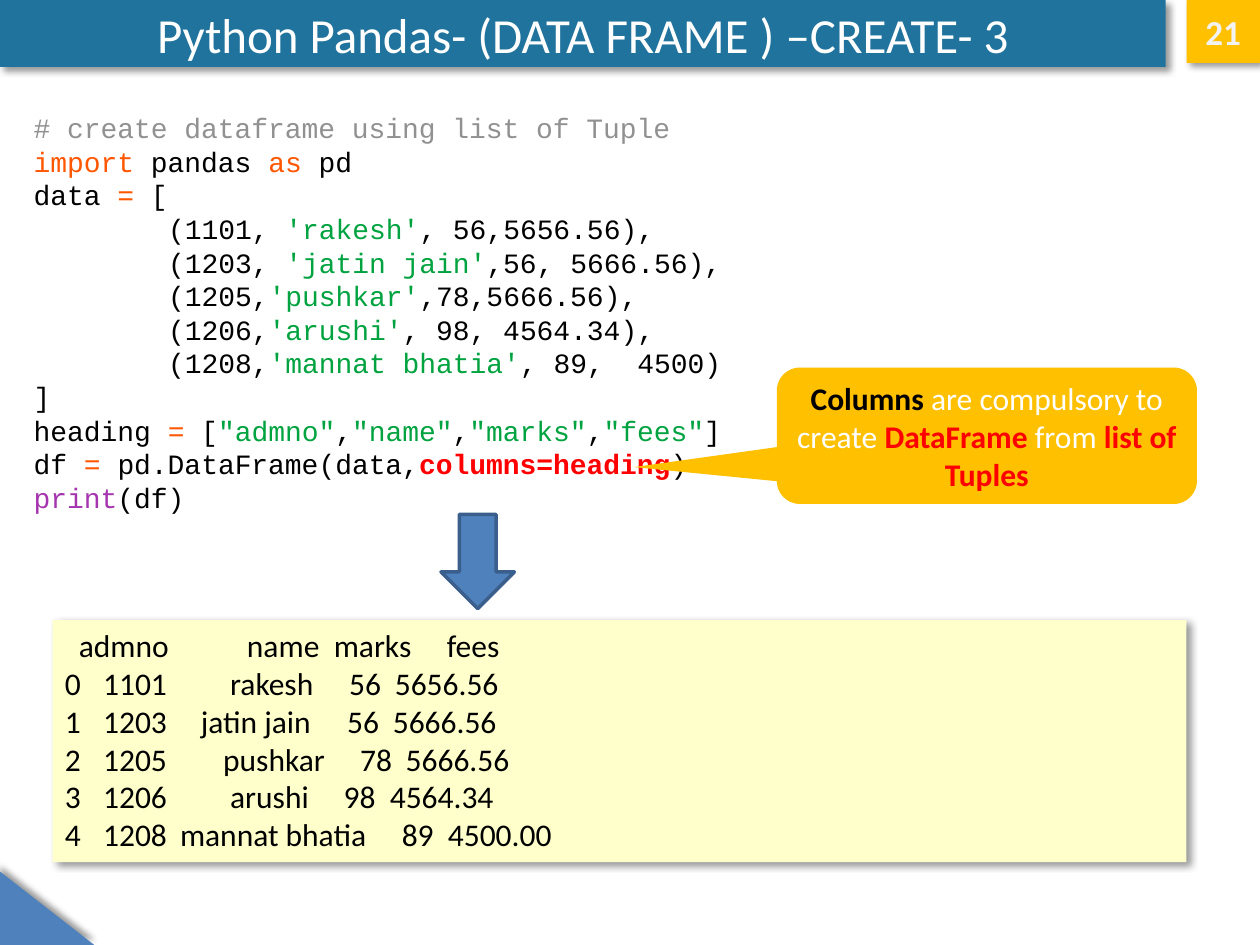
from lxml.etree import SubElement
from pptx import Presentation
from pptx.dml.color import RGBColor
from pptx.enum.shapes import MSO_SHAPE as Preset
from pptx.enum.text import MSO_ANCHOR as Anchor, MSO_AUTO_SIZE as AutoSize, PP_ALIGN as Align
from pptx.oxml.ns import qn
from pptx.util import Cm, Pt

BLACK = RGBColor(0x00, 0x00, 0x00)
WHITE = RGBColor(0xFF, 0xFF, 0xFF)
PALE = RGBColor(0xF2, 0xF2, 0xF2)
TEAL = RGBColor(0x20, 0x73, 0x9C)
AMBER = RGBColor(0xFF, 0xC0, 0x00)
BLUE = RGBColor(0x4F, 0x81, 0xBD)
DARK_BLUE = RGBColor(0x3A, 0x5F, 0x8C)
CREAM = RGBColor(0xFF, 0xFF, 0xCC)
RED = RGBColor(0xFF, 0x00, 0x00)
COMMENT = RGBColor(0x91, 0x91, 0x91)
KEYWORD = RGBColor(0xFF, 0x56, 0x00)
STRING = RGBColor(0x00, 0xA3, 0x3F)
BUILTIN = RGBColor(0xA5, 0x35, 0xAE)

BODY_FONT, CODE_FONT = "Calibri", "Courier New"
CODE_INDENT = Cm(2.71)

# Each record: text before the name, the name, text after it
RECORDS = [
    ("(1101, ", "'rakesh'", ", 56,5656.56),"),
    ("(1203, ", "'jatin jain'", ",56, 5666.56),"),
    ("(1205,", "'pushkar'", ",78,5666.56),"),
    ("(1206,", "'arushi'", ", 98, 4564.34),"),
    ("(1208,", "'mannat bhatia'", ", 89,  4500)"),
]
HEADINGS = ["admno", "name", "marks", "fees"]

# Each printed row: its cells, then the tab stops in cm of all but the first
PRINTED_ROWS = [
    (["", *HEADINGS], [0.28, 3.67, 5.42, 7.70]),
    (["0", "1101", "rakesh", "56", "5656.56"], [0.77, 3.33, 5.73, 6.65]),
    (["1", "1203", "jatin jain", "56", "5666.56"], [0.77, 2.74, 5.69, 6.61]),
    (["2", "1205", "pushkar", "78", "5666.56"], [0.77, 3.19, 5.95, 6.87]),
    (["3", "1206", "arushi", "98", "4564.34"], [0.77, 3.33, 5.62, 6.55]),
    (["4", "1208", "mannat bhatia", "89", "4500.00"], [0.77, 2.32, 6.79, 7.72]),
]


def add_shadow(shape, degrees=45):
    """Give the shape a soft outer shadow."""
    effects = shape._element.spPr.find(qn("a:effectLst"))
    shadow = SubElement(effects, qn("a:outerShdw"), blurRad=str(Pt(4)),
                        dist=str(Pt(3)), dir=str(degrees * 60000), rotWithShape="0")
    color = SubElement(shadow, qn("a:srgbClr"), val="000000")
    SubElement(color, qn("a:alpha"), val="40000")


def add_panel(slide, preset, box, fill, anchor=Anchor.MIDDLE):
    """Add a filled preset shape without outline; box is in centimetres."""
    panel = slide.shapes.add_shape(preset, *map(Cm, box))
    panel.shadow.inherit = False
    panel.fill.solid()
    panel.fill.fore_color.rgb = fill
    panel.line.fill.background()
    panel.text_frame.word_wrap = True
    panel.text_frame.vertical_anchor = anchor
    return panel


def add_runs(paragraph, runs, size, font=BODY_FONT, align=Align.LEFT):
    """Fill a paragraph with (text, colour, bold) runs."""
    paragraph.alignment = align
    for text, color, bold in runs:
        run = paragraph.add_run()
        run.text = text
        run.font.name = font
        run.font.size = Pt(size)
        run.font.bold = bold
        run.font.color.rgb = color


def next_paragraph(frame, index):
    """Return the first paragraph, or a new one after it."""
    return frame.add_paragraph() if index else frame.paragraphs[0]


def code_lines():
    """Return the program as (indented, runs) lines."""
    def plain(text):
        return text, BLACK, False

    def mark(text, color):
        return text, color, False

    heading = [plain("heading "), mark("=", KEYWORD), plain(" [")]
    for position, name in enumerate(HEADINGS):
        if position:
            heading.append(plain(","))
        heading.append(mark(f'"{name}"', STRING))
    heading.append(plain("]"))

    return [
        (False, [mark("# create dataframe using list of Tuple", COMMENT)]),
        (False, [mark("import", KEYWORD), plain(" pandas "),
                 mark("as", KEYWORD), plain(" pd")]),
        (False, [plain("data "), mark("=", KEYWORD), plain(" [")]),
        *((True, [plain(before), mark(name, STRING), plain(after)])
          for before, name, after in RECORDS),
        (False, [plain("]")]),
        (False, heading),
        (False, [plain("df "), mark("= ", KEYWORD), plain("pd.DataFrame(data,"),
                 ("columns=heading", RED, True), plain(")")]),
        (False, [mark("print", BUILTIN), plain("(df)")]),
    ]


def add_code(slide):
    """Add the coloured program text."""
    frame = slide.shapes.add_textbox(Cm(0.43), Cm(2.11), Cm(24.13), Cm(8.64)).text_frame
    frame.word_wrap = True
    frame.auto_size = AutoSize.SHAPE_TO_FIT_TEXT
    for index, (indented, runs) in enumerate(code_lines()):
        paragraph = next_paragraph(frame, index)
        add_runs(paragraph, runs, 16, CODE_FONT)
        if indented:
            properties = paragraph._p.get_or_add_pPr()
            properties.set("marL", str(CODE_INDENT))
            properties.set("indent", "0")


def add_printout(slide):
    """Add the printed data frame, its cells set on tab stops."""
    panel = add_panel(slide, Preset.RECTANGLE, (1.06, 12.5, 22.86, 4.88), CREAM, Anchor.TOP)
    add_shadow(panel)
    for index, (cells, stops) in enumerate(PRINTED_ROWS):
        paragraph = next_paragraph(panel.text_frame, index)
        add_runs(paragraph, [("\t".join(cells), BLACK, False)], 18)
        tabs = SubElement(paragraph._p.get_or_add_pPr(), qn("a:tabLst"))
        for stop in stops:
            SubElement(tabs, qn("a:tab"), pos=str(Cm(stop)), algn="l")


def add_banner(slide, box, fill, text, color, size, bold):
    """Add a shadowed rectangle with one centred line."""
    banner = add_panel(slide, Preset.RECTANGLE, box, fill)
    add_shadow(banner)
    add_runs(banner.text_frame.paragraphs[0], [(text, color, bold)], size, align=Align.CENTER)


def add_callout(slide):
    """Add the note that points at the columns argument."""
    callout = add_panel(slide, Preset.ROUNDED_RECTANGULAR_CALLOUT,
                        (15.66, 7.41, 8.47, 2.75), AMBER)
    for index, value in enumerate((-0.84, 0.23, 0.17)):
        callout.adjustments[index] = value
    add_runs(callout.text_frame.paragraphs[0], [
        ("Columns", BLACK, True),
        (" are compulsory to create ", WHITE, False),
        ("DataFrame", RED, True),
        (" from ", WHITE, False),
        ("list of Tuples", RED, True),
    ], 18, align=Align.CENTER)


def main():
    """Build and save the slide."""
    deck = Presentation()
    deck.slide_width, deck.slide_height = Cm(25.4), Cm(19.05)
    slide = deck.slides.add_slide(deck.slide_layouts[6])

    corner = add_panel(slide, Preset.RIGHT_TRIANGLE, (0, 17.57, 1.9, 1.48), BLUE)
    add_shadow(corner, 270)
    add_banner(slide, (0, 0, 23.5, 1.35), TEAL,
               "Python Pandas- (DATA FRAME ) –CREATE- 3", WHITE, 28, False)
    add_banner(slide, (23.92, 0, 1.48, 1.27), AMBER, "21", PALE, 20, True)
    add_code(slide)
    add_printout(slide)
    arrow = add_panel(slide, Preset.DOWN_ARROW, (8.89, 10.37, 1.48, 1.9), BLUE)
    arrow.line.color.rgb = DARK_BLUE
    arrow.line.width = Pt(2)
    add_callout(slide)
    deck.save("out.pptx")


main()
